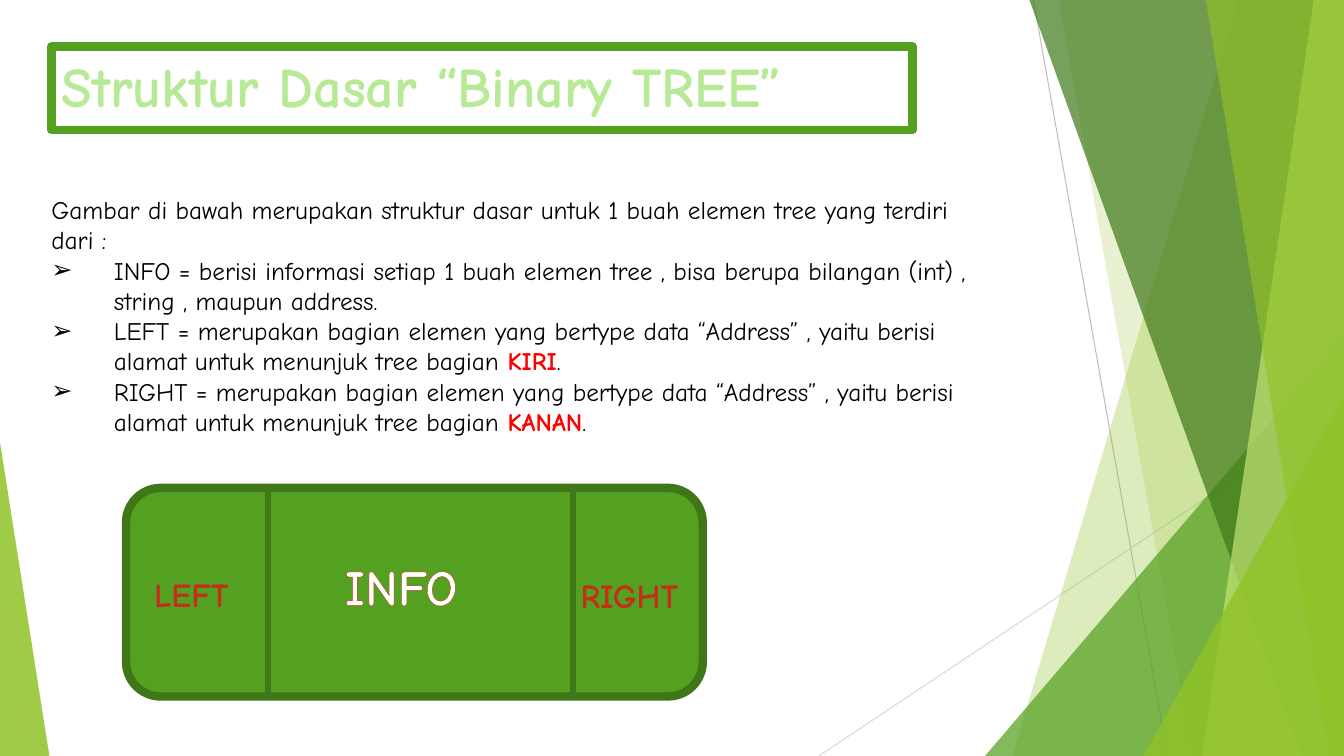
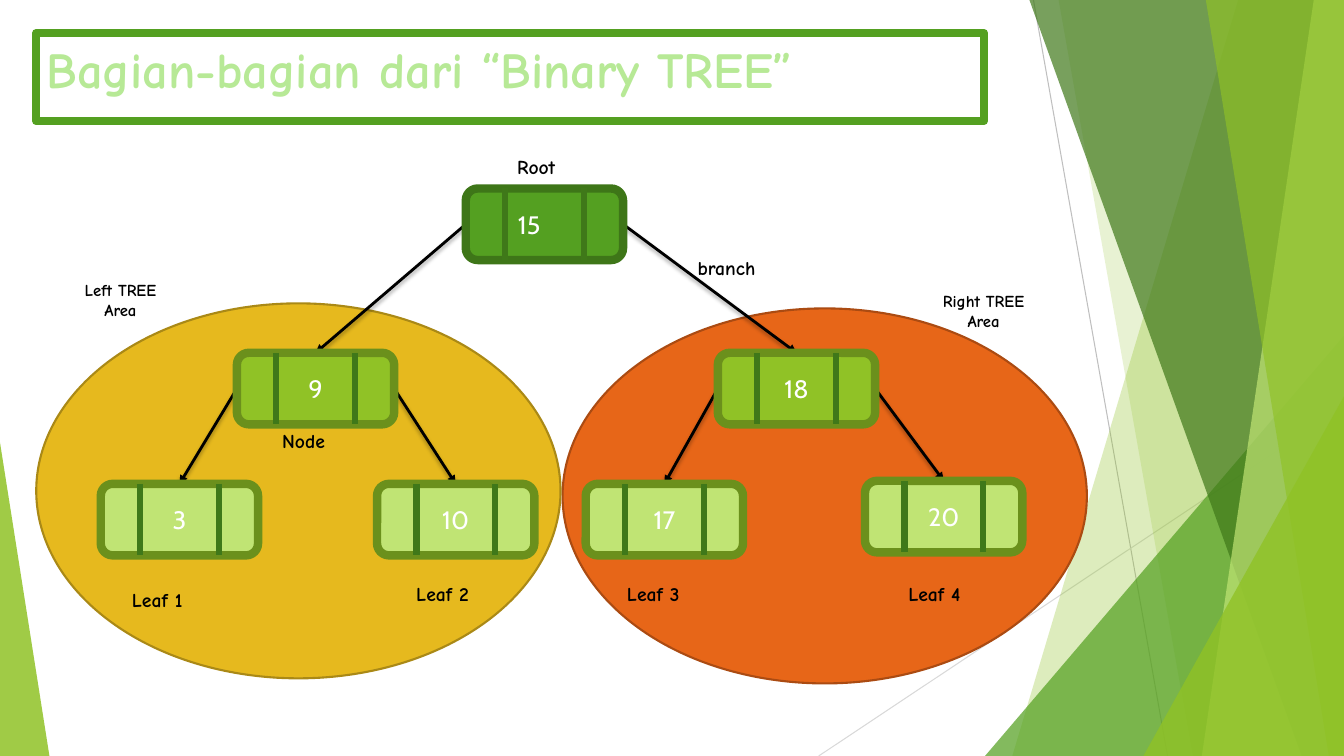
"""Build two slides about the parts of a binary tree."""
from lxml import etree
from pptx import Presentation
from pptx import util as u
from pptx.dml.color import RGBColor
from pptx.enum import shapes, text
from pptx.oxml.ns import qn

WIDE, HIGH = 13.33, 7.5
FONT, NUMS = "Comic Neue", "Cabin"
HUES = {
    "white": "FFFFFF", "black": "000000", "red": "FF0000", "rust": "C42F1A",
    "green": "54A021", "moss": "3E7618", "pine": "3F7819", "lime": "90C226",
    "olive": "6B901C", "pale": "C0E474", "mint": "B7E996",
    "gold": "E6B91E", "bronze": "AA8916", "orange": "E76618", "brown": "AB4B12",
    "grey": "BFBFBF", "mist": "D9D9D9",
}

RAYS = [((10.25, 0), (11.58, HIGH), "grey"), ((WIDE, 4.03), (8.12, HIGH), "mist")]
BANDS = [
    ("strip", (12.28, 10.04), "lime", 30),
    ("strip", (10.5, 11.83), "lime", 20),
    ("wedge", (9.77, 3.33, 3.56, 1), "green", 72),
    ("strip", (10.21, 12.91), "pine", 70),
    ("strip", (13.03, 11.92), "pale", 70),
    ("strip", (11.96, 13.18), "lime", 65),
    ("wedge", (11.34, 3.93, 1.99, 1), "lime", 80),
    ("wedge", (0, 4.39, 0.49, 0), "lime", 85),
]

INTRO = ("Gambar di bawah merupakan struktur dasar untuk 1 buah elemen tree "
         "yang terdiri dari :")
PARTS = [
    ("INFO = berisi informasi setiap 1 buah elemen tree , bisa berupa "
     "bilangan (int) , string , maupun address.", ""),
    ("LEFT = merupakan bagian elemen yang bertype data “Address” , yaitu "
     "berisi alamat untuk menunjuk tree bagian ", "KIRI"),
    ("RIGHT = merupakan bagian elemen yang bertype data “Address” , yaitu "
     "berisi alamat untuk menunjuk tree bagian ", "KANAN"),
]
FIELDS = [
    ("INFO", (3.32, 5.46, 1.71, 0.83), 36, "white", ("rust", 0.8)),
    ("RIGHT", (5.66, 5.65, 1.42, 0.53), 24, "rust", ("white", 0.75)),
    ("LEFT", (1.43, 5.64, 1.12, 0.52), 24, "rust", ("white", 0.75)),
]

AREAS = [((5.58, 3.06), "orange", "brown"), ((0.36, 3.01), "gold", "bronze")]
LEVELS = [("green", "moss"), ("lime", "olive"), ("pale", "olive")]
NODES = {
    "15": (0, 4.62, 1.87), "9": (1, 2.35, 3.5), "18": (1, 7.12, 3.5),
    "10": (2, 3.74, 4.8), "17": (2, 5.81, 4.8), "20": (2, 8.58, 4.77),
    "3": (2, 1, 4.8),
}
TREE = {"15": ("9", "18"), "9": ("3", "10"), "18": ("17", "20")}
LABELS = [
    ("Root", 5.03, 1.49), ("branch", 6.82, 2.49), ("Node", 2.7, 4.21),
    ("Leaf 2", 4.03, 5.72), ("Leaf 1", 1.21, 5.78),
    ("Leaf 3", 6.12, 5.72), ("Leaf 4", 8.91, 5.72),
]
SIDES = [("Left TREE", 0.61, 2.73, 1.17), ("Right TREE", 9.09, 2.84, 1.33)]


def hue(name):
    return RGBColor.from_string(HUES[name])


def inch(*nums):
    return [u.Inches(n) for n in nums]


def node(up, tag, **attrs):
    return etree.SubElement(up, qn(tag), {k: str(v) for k, v in attrs.items()})


def write(para, words, size, color="black", bold=False, font=FONT, edge=None):
    run = para.add_run()
    run.text = words
    run.font.size, run.font.bold, run.font.name = u.Pt(size), bold, font
    run.font.color.rgb = hue(color)
    if edge:
        props = run.font.fill and run._r.get_or_add_rPr()
        line = node(props, "a:ln", w=u.Pt(edge[1]))
        node(node(line, "a:solidFill"), "a:srgbClr", val=HUES[edge[0]])
        props.insert(0, line)


def paint(shape, fill, line=None, width=6, alpha=None):
    shape.shadow.inherit = False
    shape.fill.solid()
    shape.fill.fore_color.rgb = hue(fill)
    if alpha:
        tint = next(shape.element.iter(qn("a:srgbClr")))
        node(tint, "a:alpha", val=alpha * 1000)
    if line:
        shape.line.color.rgb = hue(line)
        shape.line.width = u.Pt(width)
    else:
        shape.line.fill.background()
    return shape


def rule(home, start, end, color, width, shade=False):
    line = home.add_connector(shapes.MSO_CONNECTOR.STRAIGHT, *inch(*start, *end))
    line.line.color.rgb = hue(color)
    line.line.width = u.Pt(width)
    props = line.element.spPr
    if shade:
        node(props.find(qn("a:ln")), "a:tailEnd", type="triangle")
    effect = node(props, "a:effectLst")
    if shade:
        drop = node(effect, "a:outerShdw", blurRad=u.Pt(3), dist=u.Pt(2),
                    dir=5400000, rotWithShape=0)
        node(node(drop, "a:srgbClr", val=HUES["black"]), "a:alpha", val=35000)
    return line


def backdrop(slide, master):
    group = slide.shapes.add_group_shape()
    home = group.shapes
    for start, end, color in RAYS:
        rule(home, start, end, color, 0.75)
    for kind, nums, color, alpha in BANDS:
        if kind == "strip":
            top, base = nums
            pen = home.build_freeform(*inch(top, 0))
            pen.add_line_segments(
                [inch(*p) for p in ((WIDE, 0), (WIDE, HIGH), (base, HIGH))])
            band = pen.convert_to_shape()
        else:
            left, top, wide, tip = nums
            band = home.add_shape(shapes.MSO_SHAPE.ISOSCELES_TRIANGLE,
                                  *inch(left, top, wide, HIGH - top))
            band.adjustments[0] = tip
        paint(band, color, alpha=alpha)
    master.shapes.element.insert(2, group.element)


def place(holder, box):
    holder.left, holder.top, holder.width, holder.height = inch(*box)
    frame = holder.text_frame
    frame.word_wrap = True
    frame.auto_size = text.MSO_AUTO_SIZE.NONE
    frame.vertical_anchor = text.MSO_ANCHOR.TOP
    return frame.paragraphs[0]


def title(slide, words, box, size):
    para = place(slide.shapes.title, box)
    paint(slide.shapes.title, "white", "green")
    para.alignment = text.PP_ALIGN.LEFT
    write(para, words, size, "mint", True, edge=("green", 1.75))


def label(slide, box):
    return place(slide.shapes.add_textbox(0, 0, 0, 0), box)


def cell(slide, box, fill, line, cuts):
    left, top, _, high = box
    shape = slide.shapes.add_shape(shapes.MSO_SHAPE.ROUNDED_RECTANGLE, *inch(*box))
    paint(shape, fill, line)
    for cut in cuts:
        rule(slide.shapes, (left + cut, top), (left + cut, top + high), "pine", 4.5)
    return shape


def basics(slide):
    title(slide, "Struktur Dasar “Binary TREE”", (0.51, 0.46, 8.54, 0.83), 40)
    cell(slide, (1.25, 4.84, 5.72, 2.07), "green", "moss", (1.41, 4.43))
    for words, box, size, color, edge in FIELDS:
        write(label(slide, box), words, size, color, True, edge=edge)
    body = slide.placeholders[1]
    para = place(body, (0.41, 1.88, 9.4, 2.57))
    for row, (words, key) in enumerate([(INTRO, "")] + PARTS):
        if row:
            para = body.text_frame.add_paragraph()
        para.space_before = u.Pt(0)
        props = para._p.get_or_add_pPr()
        inset = u.Inches(0.62) if row else 0
        props.set("marL", str(inset))
        props.set("indent", str(-inset))
        if row:
            node(props, "a:buChar", char="➢")
        else:
            node(props, "a:buNone")
        write(para, words, 18)
        if key:
            write(para, key, 18, "red", True)
            write(para, ".", 18)


def tree(slide):
    for spot, fill, line in AREAS:
        area = slide.shapes.add_shape(shapes.MSO_SHAPE.OVAL, *inch(*spot, 5.2, 3.72))
        paint(area, fill, line, 1.5)
    title(slide, "Bagian-bagian dari “Binary TREE”", (0.36, 0.33, 9.4, 0.87), 36)
    boxes = {}
    for name, (level, left, top) in NODES.items():
        box = cell(slide, (left, top, 1.56, 0.71), *LEVELS[level], (0.39, 1.17))
        frame = box.text_frame
        frame.vertical_anchor = text.MSO_ANCHOR.MIDDLE
        if level == 0:
            frame.margin_right = u.Inches(0.4)
        para = frame.paragraphs[0]
        para.alignment = text.PP_ALIGN.CENTER
        write(para, name, 18, "white", font=NUMS)
        boxes[name] = box
    for top, kids in TREE.items():
        for side, kid in zip((1, 3), kids):
            arrow = rule(slide.shapes, (0, 0), (1, 1), "black", 2, True)
            arrow.begin_connect(boxes[top], side)
            arrow.end_connect(boxes[kid], 0)
            boxes["15"].element.addprevious(arrow.element)
    for words, left, top in LABELS:
        write(label(slide, (left, top, 0.85, 0.45)), words, 14, bold=True)
    for words, left, top, wide in SIDES:
        first = label(slide, (left, top, wide, 0.45))
        second = slide.shapes[-1].text_frame.add_paragraph()
        for para, part in ((first, words), (second, "Area")):
            para.alignment = text.PP_ALIGN.CENTER
            write(para, part, 11.9, bold=True)


def main():
    deck = Presentation()
    deck.slide_width, deck.slide_height = inch(WIDE, HIGH)
    for index, (kind, build) in enumerate(((1, basics), (5, tree))):
        slide = deck.slides.add_slide(deck.slide_layouts[kind])
        if index == 0:
            backdrop(slide, deck.slide_master)
        build(slide)
    deck.save("out.pptx")


if __name__ == "__main__":
    main()
